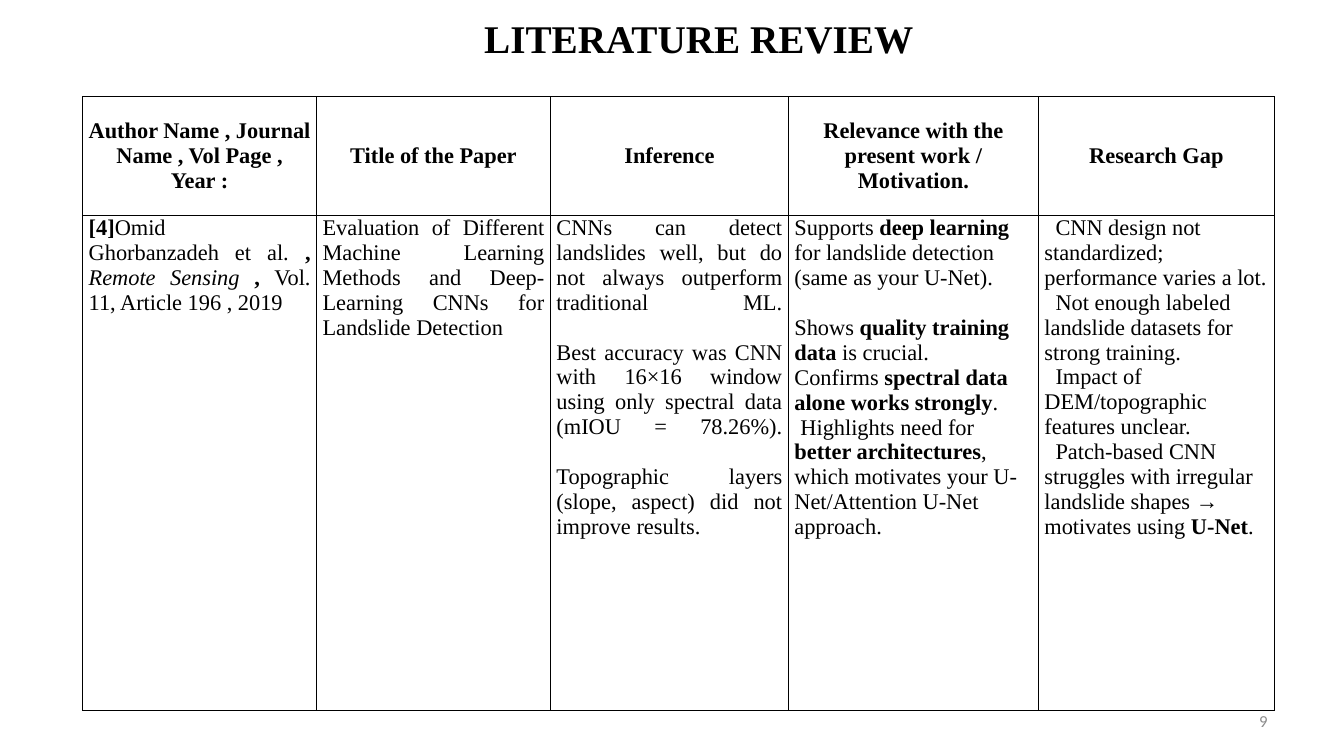
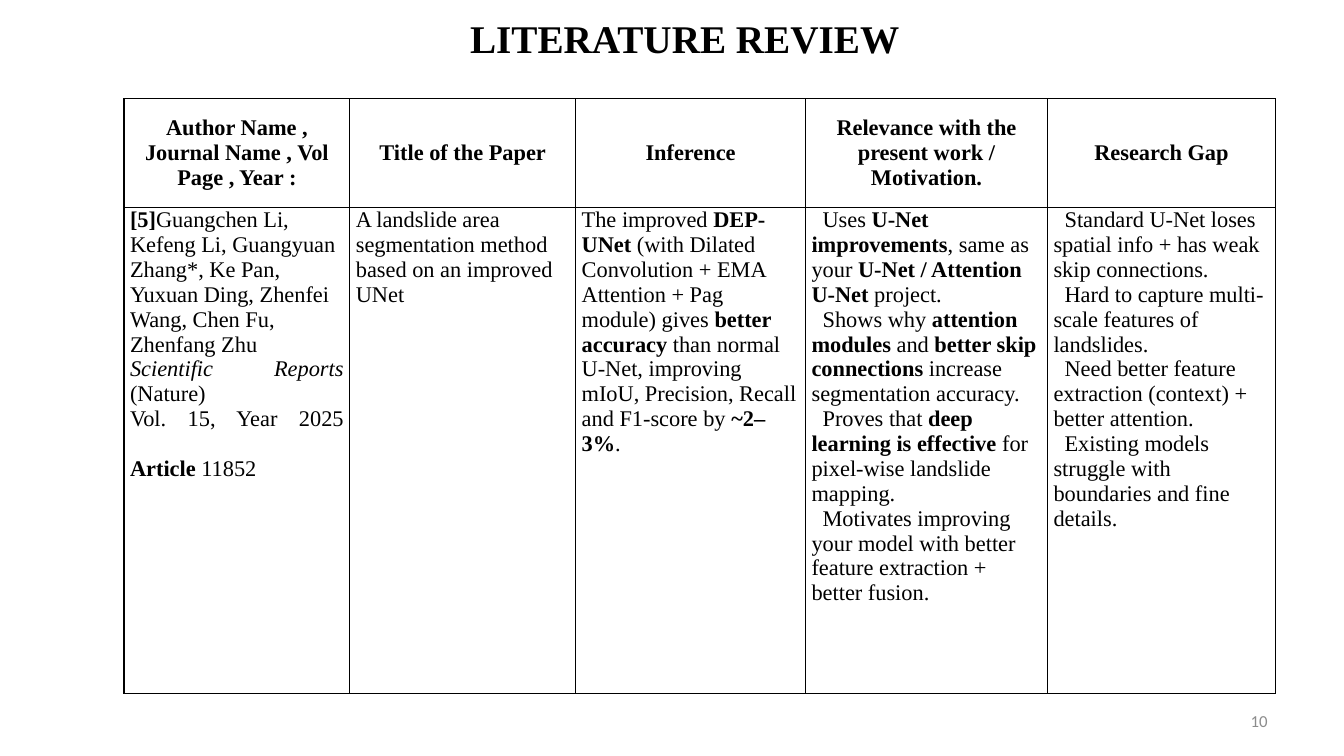
from pptx import Presentation
from pptx.dml.color import RGBColor
from pptx.enum.text import MSO_ANCHOR, PP_ALIGN
from pptx.oxml import parse_xml
from pptx.oxml.ns import nsdecls
from pptx.util import Pt

PX = 9144  # 100 px to the inch
INK = {"text": "000000", "rule": "000000", "page": "8C8C8C"}
SERIF, SANS = "Times New Roman", "Calibri"

# Paragraph styles: alignment, first-line indent in px, space before in pt
STYLES = {
    "head": (PP_ALIGN.CENTER, 0, 0),
    "left": (PP_ALIGN.LEFT, 0, 0),
    "just": (PP_ALIGN.JUSTIFY, 0, 0),
    "gap": (PP_ALIGN.LEFT, 0, 18),
    "lead": (PP_ALIGN.LEFT, 6, 0),
    "item": (PP_ALIGN.LEFT, 11, 0),
    "page": (PP_ALIGN.RIGHT, 0, 0),
}

HEADS = [
    "Author Name , Journal Name , Vol Page , Year :",
    "Title of the Paper",
    "Inference",
    "Relevance with the present work / Motivation.",
    "Research Gap",
]

# Text marks: |bold|, ^italic^; a closing line break stretches the last line
PAGES = [
    {
        "page": "9", "title": 93, "left": 82, "top": 96,
        "cols": [232, 232, 236, 248, 234], "rows": [118, 491],
        "cells": [
            [("just", "|[4]|Omid\nGhorbanzadeh et al. |, |^Remote Sensing^ "
                      "|, |Vol. 11, Article 196 , 2019")],
            [("just", "Evaluation of Different Machine Learning Methods and "
                      "Deep-Learning CNNs for Landslide Detection")],
            [("just", "CNNs can detect landslides well, but do not always "
                      "outperform traditional ML.\n"),
             ("just", "Best accuracy was CNN with 16×16 window using only "
                      "spectral data (mIOU = 78.26%).\n"),
             ("just", "Topographic layers (slope, aspect) did not improve results.")],
            [("left", "Supports |deep learning| for landslide detection "
                      "(same as your U-Net)."),
             ("gap", "Shows |quality training data| is crucial."),
             ("left", "Confirms |spectral data alone works strongly|."),
             ("lead", "Highlights need for |better architectures|, which "
                      "motivates your U-Net/Attention U-Net approach.")],
            [("item", "CNN design not standardized; performance varies a lot."),
             ("item", "Not enough labeled landslide datasets for strong training."),
             ("item", "Impact of DEM/topographic features unclear."),
             ("item", "Patch-based CNN struggles with irregular landslide "
                      "shapes → motivates using |U-Net|.")],
        ],
    },
    {
        "page": "10", "title": 79, "left": 123, "top": 98,
        "cols": [224, 224, 228, 240, 226], "rows": [108, 482],
        "cells": [
            [("left", "|[5]|Guangchen Li, Kefeng Li, Guangyuan Zhang*, Ke Pan, "
                      "Yuxuan Ding, Zhenfei Wang, Chen Fu, Zhenfang Zhu"),
             ("just", "^Scientific Reports^ (Nature)"),
             ("just", "Vol. 15, Year 2025\n"),
             ("just", "|Article |11852")],
            [("left", "A landslide area segmentation method based on an improved UNet")],
            [("left", "The improved |DEP-UNet| (with Dilated Convolution + EMA "
                      "Attention + Pag module) gives |better accuracy| than normal "
                      "U-Net, improving mIoU, Precision, Recall and F1-score by |~2–3%|.")],
            [("item", "Uses |U-Net improvements|, same as your "
                      "|U-Net / Attention U-Net| project."),
             ("item", "Shows why |attention modules| and |better skip "
                      "connections| increase segmentation accuracy."),
             ("item", "Proves that |deep learning is effective| for "
                      "pixel-wise landslide mapping."),
             ("item", "Motivates improving your model with better feature "
                      "extraction + better fusion.")],
            [("item", "Standard U-Net loses spatial info + has weak skip connections."),
             ("item", "Hard to capture multi-scale features of landslides."),
             ("item", "Need better feature extraction (context) + better attention."),
             ("item", "Existing models struggle with boundaries and fine details.")],
        ],
    },
]


def write(frame, paras, size=16, face=SERIF, ink="text"):
    """Fill a text frame with (style, marked text) pairs."""
    frame.word_wrap = True
    frame.vertical_anchor = MSO_ANCHOR.MIDDLE
    for n, (style, text) in enumerate(paras):
        para = frame.paragraphs[0] if n == 0 else frame.add_paragraph()
        para.alignment, indent, before = STYLES[style]
        if indent:
            para._p.get_or_add_pPr().set("indent", str(indent * PX))
        if before:
            para.space_before = Pt(before)
        para.font.size, para.font.name = Pt(size), face
        para.font.bold = style == "head"
        para.font.color.rgb = RGBColor.from_string(INK[ink])
        for b, chunk in enumerate(text.split("|")):
            for i, part in enumerate(chunk.split("^")):
                for k, line in enumerate(part.split("\n")):
                    if k:
                        para.add_line_break()
                    if line:
                        run = para.add_run()
                        run.text = line
                        if b % 2:
                            run.font.bold = True
                        if i % 2:
                            run.font.italic = True


def frame_cell(cell):
    """Rule all four sides of a cell and leave it unfilled."""
    props = cell._tc.get_or_add_tcPr()
    for side in ("lnL", "lnR", "lnT", "lnB"):
        props.append(parse_xml(
            f'<a:{side} {nsdecls("a")} w="12700"><a:solidFill>'
            f'<a:srgbClr val="{INK["rule"]}"/></a:solidFill></a:{side}>'))
    cell.fill.background()
    cell.margin_left = cell.margin_right = 6 * PX
    cell.margin_top = cell.margin_bottom = 0


deck = Presentation()
deck.slide_width, deck.slide_height = 1333 * PX, 750 * PX

for page in PAGES:
    slide = deck.slides.add_slide(deck.slide_layouts[6])

    # Title
    box = slide.shapes.add_textbox(page["title"] * PX, 0, 1200 * PX, 75 * PX)
    write(box.text_frame, [("head", "LITERATURE REVIEW")], size=28)

    # Review table
    cols, rows = page["cols"], page["rows"]
    table = slide.shapes.add_table(
        2, len(cols), page["left"] * PX, page["top"] * PX,
        sum(cols) * PX, sum(rows) * PX).table
    table.first_row = table.horz_banding = False
    for row, high in zip(table.rows, rows):
        row.height = high * PX
    for c, wide in enumerate(cols):
        table.columns[c].width = wide * PX
        head, body = table.cell(0, c), table.cell(1, c)
        for cell, paras in ((head, [("head", HEADS[c])]), (body, page["cells"][c])):
            frame_cell(cell)
            write(cell.text_frame, paras)
        head.vertical_anchor = MSO_ANCHOR.MIDDLE
        body.vertical_anchor = MSO_ANCHOR.TOP

    # Page number
    box = slide.shapes.add_textbox(956 * PX, 695 * PX, 311 * PX, 40 * PX)
    write(box.text_frame, [("page", page["page"])], 12, SANS, "page")

deck.save("out.pptx")
